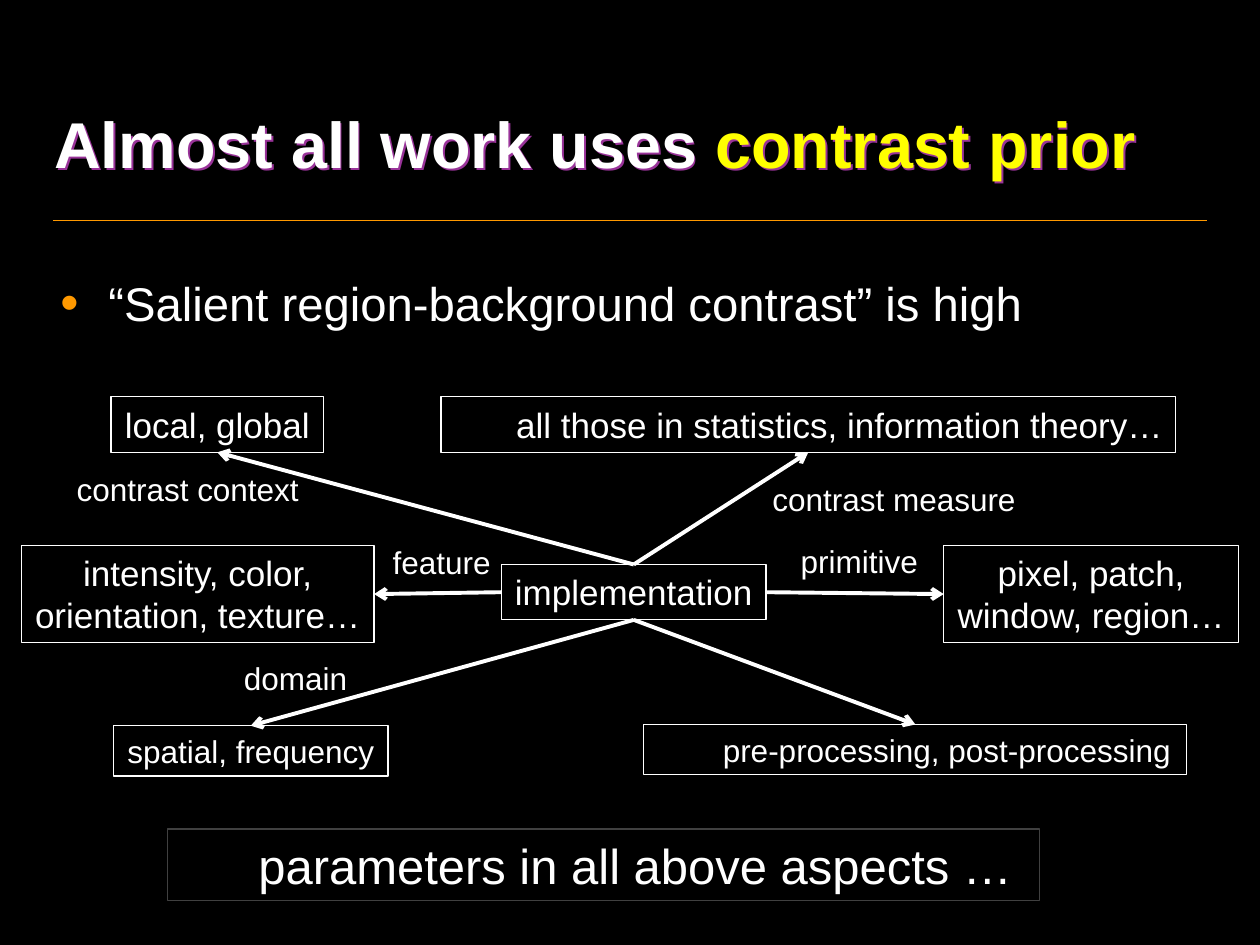
from lxml import etree
from pptx import Presentation
from pptx import util as u
from pptx.dml.color import RGBColor
from pptx.enum import shapes, text
from pptx.oxml import parse_xml
from pptx.oxml.ns import nsdecls, qn

COLORS = {"ground": "000000", "text": "FFFFFF", "accent": "FFFF00",
          "rule": "FF9900", "glow": "993399", "dim": "404040"}
COLUMNS, ROWS = 100, 75
WIDTH, HEIGHT = u.Inches(10), u.Inches(7.5)
TOP, LEFT, BOTTOM, RIGHT = range(4)

ASPECTS = [
    ("local, global", (8.8, 31.5, 16.9, 4.4), 20, False, TOP, BOTTOM),
    ("all those in statistics, information theory…", (35, 31.5, 58.3, 4.4), 20, True, TOP, BOTTOM),
    ("intensity, color,\norientation, texture…", (1.7, 43.3, 28, 7.7), 20, False, LEFT, RIGHT),
    ("pixel, patch,\nwindow, region…", (74.9, 43.3, 23.4, 7.7), 20, False, RIGHT, LEFT),
    ("spatial, frequency", (9, 57.6, 21.8, 4), 18, False, BOTTOM, TOP),
    ("pre-processing, post-processing", (51.1, 57.5, 43.1, 4), 18, True, BOTTOM, TOP),
]
LABELS = [
    ("contrast context", (5, 36.8, 19.8, 4)),
    ("contrast measure", (60.2, 37.6, 21.5, 4)),
    ("feature", (30.1, 42.6, 9.9, 4)),
    ("primitive", (62.5, 42.5, 11.4, 4)),
    ("domain", (18.3, 51.8, 10.3, 4)),
]


def rgb(name):
    return RGBColor.from_string(COLORS[name])


def grid(box):
    left, top, width, height = box
    return (round(left * WIDTH / COLUMNS), round(top * HEIGHT / ROWS),
            round(width * WIDTH / COLUMNS), round(height * HEIGHT / ROWS))


def apply(target, values):
    for name, value in values.items():
        setattr(target, name, value)


def style_font(font, size, color="text", bold=False):
    apply(font, {"name": "Arial", "size": u.Pt(size), "bold": bold})
    font.color.rgb = rgb(color)


def place(shape, box):
    apply(shape, dict(zip(("left", "top", "width", "height"), grid(box))))


def draw_line(slide, ends, color, width):
    line = slide.shapes.add_connector(shapes.MSO_CONNECTOR.STRAIGHT, *ends)
    line.line.color.rgb = rgb(color)
    line.line.width = u.Pt(width)
    etree.SubElement(line._element.spPr, qn("a:effectLst"))
    return line


def add_heading(slide, box):
    heading = slide.shapes.title
    place(heading, box)
    frame = heading.text_frame
    apply(frame, {"vertical_anchor": text.MSO_ANCHOR.MIDDLE,
                  "auto_size": text.MSO_AUTO_SIZE.NONE, "word_wrap": True})
    paragraph = frame.paragraphs[0]
    paragraph.alignment = text.PP_ALIGN.LEFT
    for words, color in (("Almost all work uses", "text"), (" contrast prior", "accent")):
        run = paragraph.add_run()
        run.text = words
        style_font(run.font, 37, color, True)
    heading._element.spPr.append(parse_xml(
        f'<a:effectLst {nsdecls("a")}><a:outerShdw dist="19050" dir="2700000">'
        f'<a:srgbClr val="{COLORS["glow"]}"/></a:outerShdw></a:effectLst>'))
    left, top, width, _ = grid((4.2, 17.5, 91.6, 0))
    draw_line(slide, (left, top, left + width, top), "rule", 1)


def add_claim(slide, box):
    claim = slide.placeholders[1]
    place(claim, box)
    frame = claim.text_frame
    apply(frame, {"auto_size": text.MSO_AUTO_SIZE.NONE, "word_wrap": True})
    paragraph = frame.paragraphs[0]
    paragraph.text = "“Salient region-background contrast” is high"
    apply(paragraph, {"line_spacing": 1.1, "space_before": u.Pt(0), "space_after": u.Pt(6)})
    properties = paragraph._p.get_or_add_pPr()
    indent = u.Inches(0.38)
    properties.set("marL", str(indent))
    properties.set("indent", str(-indent))
    for bullet in (f'<a:buClr {nsdecls("a")}><a:srgbClr val="{COLORS["rule"]}"/></a:buClr>',
                   f'<a:buSzPct {nsdecls("a")} val="110000"/>',
                   f'<a:buChar {nsdecls("a")} char="•"/>'):
        properties.append(parse_xml(bullet))
    style_font(paragraph.runs[0].font, 27)


def write_centered(frame, words, size, indented=False):
    frame.text = words
    apply(frame, {"word_wrap": indented, "auto_size": text.MSO_AUTO_SIZE.SHAPE_TO_FIT_TEXT,
                  "vertical_anchor": text.MSO_ANCHOR.TOP})
    if indented:
        apply(frame, {"margin_left": u.Inches(0.07), "margin_right": u.Inches(0.07)})
    for paragraph in frame.paragraphs:
        paragraph.alignment = text.PP_ALIGN.CENTER
        if indented:
            paragraph.level = 1
            paragraph._p.get_or_add_pPr().set("marL", str(u.Inches(0.5)))
        style_font(paragraph.runs[0].font, size)


def add_node(slide, words, box, size, indented=False, outline="text"):
    node = slide.shapes.add_shape(shapes.MSO_SHAPE.RECTANGLE, *grid(box))
    node.shadow.inherit = False
    node.fill.background()
    node.line.color.rgb = rgb(outline)
    node.line.width = u.Pt(0.75)
    write_centered(node.text_frame, words, size, indented)
    return node


def add_aspect_map(slide, hub_box):
    hub = add_node(slide, "implementation", hub_box, 20)
    for words, box, size, indented, hub_side, aspect_side in ASPECTS:
        aspect = add_node(slide, words, box, size, indented)
        arrow = draw_line(slide, (0, 0, 0, 0), "text", 2.25)
        arrow.begin_connect(hub, hub_side)
        arrow.end_connect(aspect, aspect_side)
        etree.SubElement(arrow.line._get_or_add_ln(), qn("a:tailEnd"), type="arrow")
    for words, box in LABELS:
        label = slide.shapes.add_textbox(*grid(box))
        write_centered(label.text_frame, words, 18)


def main():
    deck = Presentation()
    apply(deck, {"slide_width": WIDTH, "slide_height": HEIGHT})
    slide = deck.slides.add_slide(deck.slide_layouts[1])
    slide.background.fill.solid()
    slide.background.fill.fore_color.rgb = rgb("ground")
    add_heading(slide, (3.3, 4.7, 93.3, 13.3))
    add_claim(slide, (3.8, 20.8, 92.9, 5.8))
    add_aspect_map(slide, (39.8, 44.8, 21, 4.4))
    add_node(slide, "parameters in all above aspects …", (13.3, 65.8, 69.2, 5.7), 28, True, "dim")
    deck.save("out.pptx")


if __name__ == "__main__":
    main()
